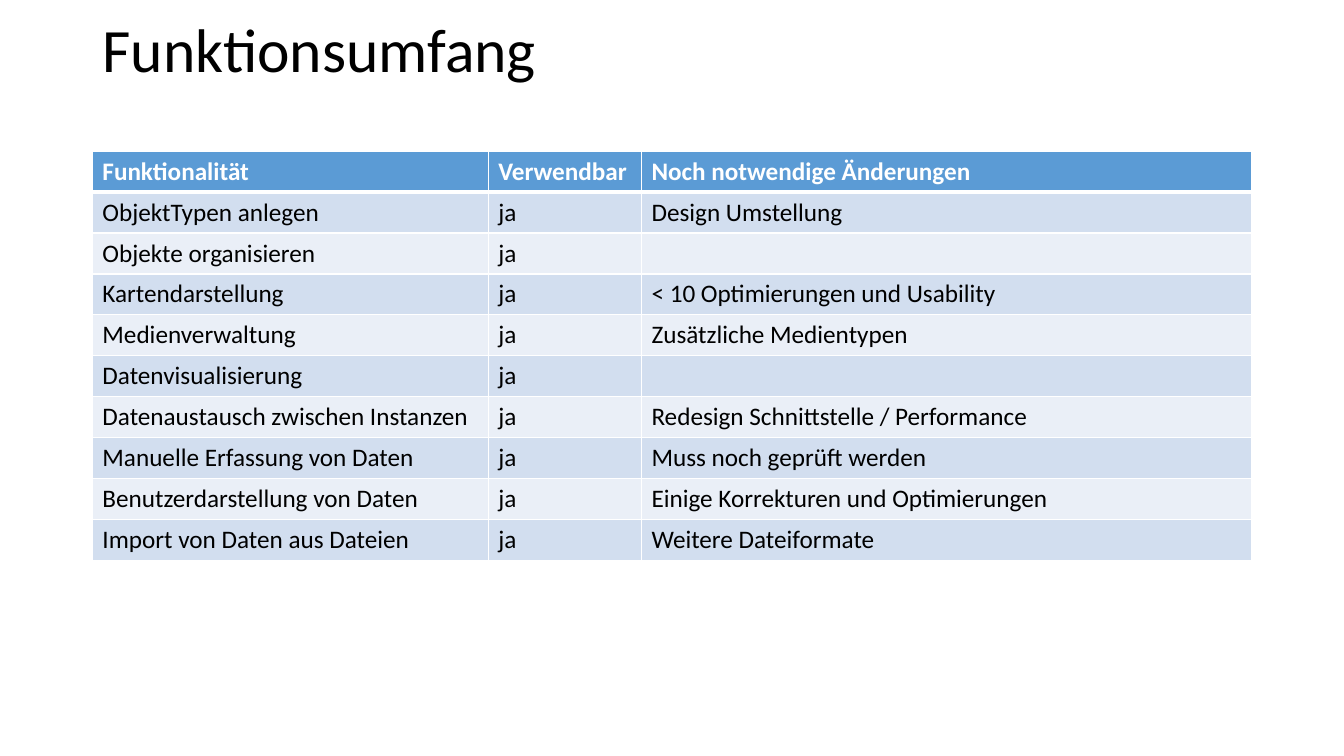
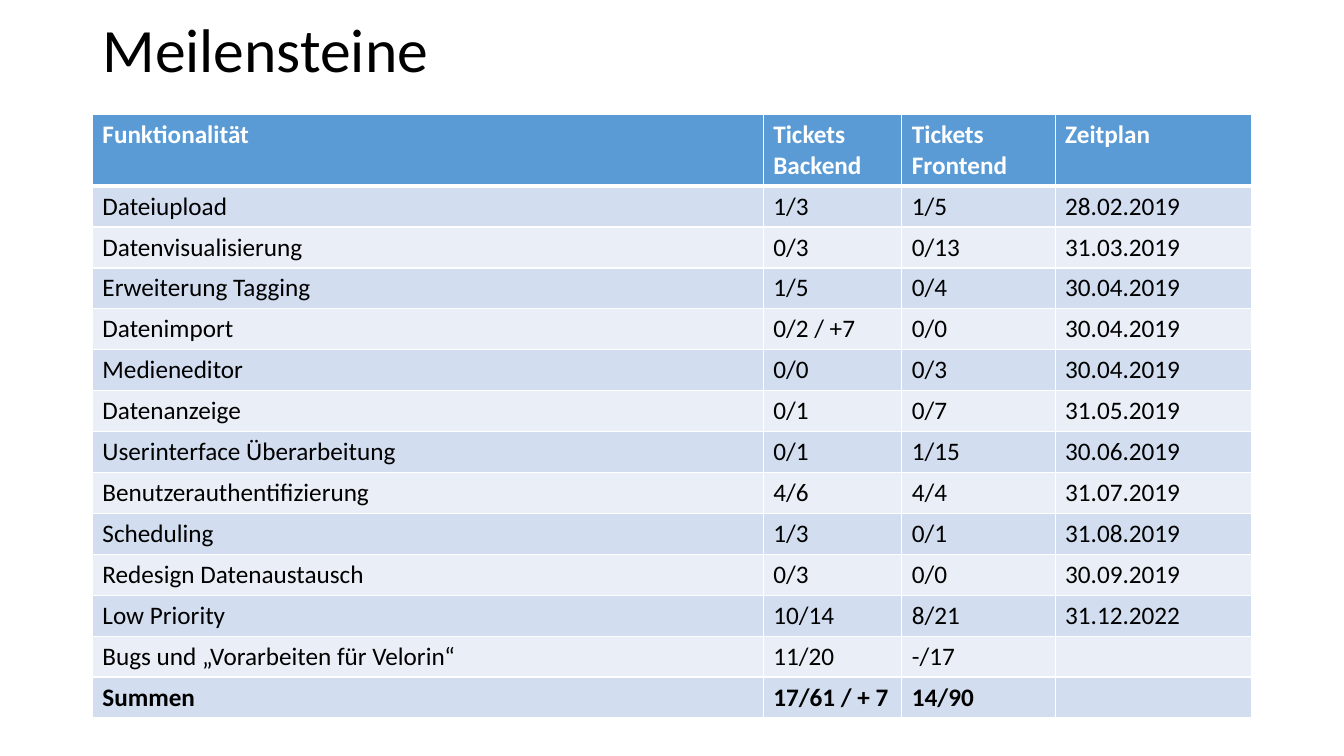
from dataclasses import dataclass

from lxml.etree import SubElement
from pptx import Presentation
from pptx.dml.color import RGBColor as Rgb
from pptx.enum.text import MSO_ANCHOR as Anchor
from pptx.enum.text import MSO_AUTO_SIZE as Fit
from pptx.enum.text import PP_ALIGN as Align
from pptx.oxml.ns import qn
from pptx.presentation import Presentation as Deck
from pptx.slide import Slide
from pptx.table import _Cell as Cell
from pptx.util import Emu, Pt

# Shared style
FONT = "Calibri"
BLACK = Rgb(0x00, 0x00, 0x00)
WHITE = Rgb(0xFF, 0xFF, 0xFF)
BLUE = Rgb(0x5B, 0x9B, 0xD5)
BANDS = (Rgb(0xD2, 0xDE, 0xEF), Rgb(0xEA, 0xEF, 0xF7))
THIN, THICK = 1, 3

# Shared layout in px
WIDE, HIGH = 1280, 720
LEFT, SPAN = 88, 1104
TITLE_TOP, TITLE_HIGH = 13, 74
ROW_HIGH = 39
TITLE_ONLY = 5


@dataclass(frozen=True)
class Page:
    title: str
    top: int
    head_high: int
    widths: tuple[int, ...]
    head: tuple[str, ...]
    rows: tuple[tuple[str, ...], ...]
    total: bool = False


PAGES = (
    Page(
        "Funktionsumfang", 144, ROW_HIGH, (377, 146, 581),
        ("Funktionalität", "Verwendbar", "Noch notwendige Änderungen"),
        (
            ("ObjektTypen anlegen", "ja", "Design Umstellung"),
            ("Objekte organisieren", "ja", ""),
            ("Kartendarstellung", "ja", "< 10 Optimierungen und Usability"),
            ("Medienverwaltung", "ja", "Zusätzliche Medientypen"),
            ("Datenvisualisierung", "ja", ""),
            ("Datenaustausch zwischen Instanzen", "ja",
             "Redesign Schnittstelle / Performance"),
            ("Manuelle Erfassung von Daten", "ja", "Muss noch geprüft werden"),
            ("Benutzerdarstellung von Daten", "ja",
             "Einige Korrekturen und Optimierungen"),
            ("Import von Daten aus Dateien", "ja", "Weitere Dateiformate"),
        ),
    ),
    Page(
        "Meilensteine", 109, 67, (639, 132, 146, 187),
        ("Funktionalität", "Tickets\nBackend", "Tickets\nFrontend", "Zeitplan"),
        (
            ("Dateiupload", "1/3", "1/5", "28.02.2019"),
            ("Datenvisualisierung", "0/3", "0/13", "31.03.2019"),
            ("Erweiterung Tagging", "1/5", "0/4", "30.04.2019"),
            ("Datenimport", "0/2 / +7", "0/0", "30.04.2019"),
            ("Medieneditor", "0/0", "0/3", "30.04.2019"),
            ("Datenanzeige", "0/1", "0/7", "31.05.2019"),
            ("Userinterface Überarbeitung", "0/1", "1/15", "30.06.2019"),
            ("Benutzerauthentifizierung", "4/6", "4/4", "31.07.2019"),
            ("Scheduling", "1/3", "0/1", "31.08.2019"),
            ("Redesign Datenaustausch", "0/3", "0/0", "30.09.2019"),
            ("Low Priority", "10/14", "8/21", "31.12.2022"),
            ("Bugs und „Vorarbeiten für Velorin“", "11/20", "-/17", ""),
            ("Summen", "17/61 / + 7", "14/90", ""),
        ),
        total=True,
    ),
)


def px(count: int) -> Emu:
    return Emu(count * 9525)


def add_title(slide: Slide, text: str) -> None:
    title = slide.shapes.title
    title.left, title.top = px(LEFT), px(TITLE_TOP)
    title.width, title.height = px(SPAN), px(TITLE_HIGH)
    frame = title.text_frame
    frame.text = text
    frame.auto_size = Fit.NONE
    frame.vertical_anchor = Anchor.MIDDLE
    para = frame.paragraphs[0]
    para.alignment = Align.LEFT
    para.line_spacing = 0.9
    font = para.runs[0].font
    font.name, font.size = FONT, Pt(44)
    font.color.rgb = BLACK


def set_edges(cell: Cell, top: int, base: int) -> None:
    props = cell._tc.get_or_add_tcPr()
    edges = (("a:lnL", THIN), ("a:lnR", THIN), ("a:lnT", top), ("a:lnB", base))
    for tag, width in edges:
        line = SubElement(props, qn(tag), w=str(Pt(width)))
        fill = SubElement(line, qn("a:solidFill"))
        SubElement(fill, qn("a:srgbClr"), val=str(WHITE))


def fill_cell(cell: Cell, text: str, back: Rgb, ink: Rgb, bold: bool) -> None:
    cell.fill.solid()
    cell.fill.fore_color.rgb = back
    cell.text_frame.text = text
    for para in cell.text_frame.paragraphs:
        para.font.size = Pt(18)
        for run in para.runs:
            font = run.font
            font.name, font.size, font.bold = FONT, Pt(18), bold
            font.color.rgb = ink


def add_grid(slide: Slide, page: Page) -> None:
    lines = (page.head, *page.rows)
    high = page.head_high + ROW_HIGH * len(page.rows)
    table = slide.shapes.add_table(
        len(lines), len(page.widths),
        px(LEFT), px(page.top), px(SPAN), px(high),
    ).table
    for col, width in zip(table.columns, page.widths):
        col.width = px(width)
    for num, line in enumerate(lines):
        is_head = num == 0
        is_sum = page.total and num == len(page.rows)
        table.rows[num].height = px(page.head_high if is_head else ROW_HIGH)
        back = BLUE if is_head else BANDS[(num - 1) % 2]
        ink = WHITE if is_head else BLACK
        for col, text in enumerate(line):
            cell = table.cell(num, col)
            set_edges(cell, THICK if num == 1 else THIN,
                      THICK if is_head else THIN)
            fill_cell(cell, text, back, ink, is_head or is_sum)


def add_page(deck: Deck, page: Page) -> None:
    slide = deck.slides.add_slide(deck.slide_layouts[TITLE_ONLY])
    add_title(slide, page.title)
    add_grid(slide, page)


def main() -> None:
    deck = Presentation()
    deck.slide_width, deck.slide_height = px(WIDE), px(HIGH)
    for page in PAGES:
        add_page(deck, page)
    deck.save("out.pptx")


if __name__ == "__main__":
    main()
